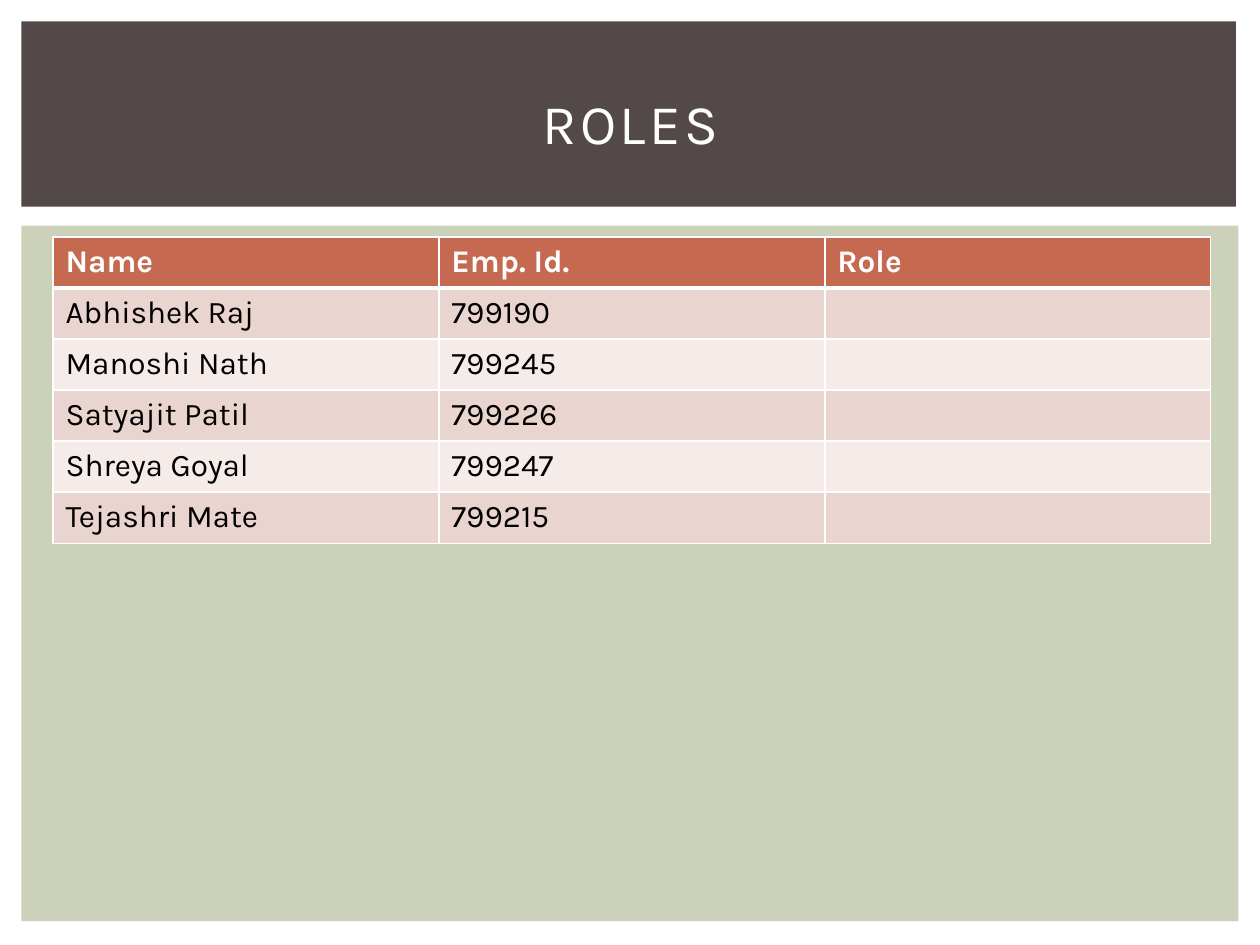
import dataclasses

import pptx
import pptx.dml.color
import pptx.enum.shapes
import pptx.enum.text
import pptx.oxml
import pptx.oxml.ns
import pptx.util


@dataclasses.dataclass(frozen=True)
class Theme:
    font: str = "Karla"
    white: str = "FFFFFF"
    black: str = "000000"
    sage: str = "CCD1B9"
    brown: str = "534949"
    rust: str = "C66951"
    bands: tuple = ("EAD4D0", "F5EBE9")
    title: int = 32
    body: int = 18
    track: int = 200  # hundredths of a point
    thin: int = 1
    thick: int = 3


@dataclasses.dataclass(frozen=True)
class Box:
    left: float
    top: float
    width: float
    height: float

    def inset(self, left, top, width, height):
        """Return the part of this box at the given offset and size."""
        return Box(self.left + left, self.top + top, width, height)

    def emu(self):
        return [pptx.util.Inches(n) for n in dataclasses.astuple(self)]


THEME = Theme()
PAGE = Box(0, 0, 10, 7.5)
BAND = PAGE.inset(0.17, 0.17, 9.64, 1.47)
PANEL = PAGE.inset(0.17, 1.79, 9.66, 5.52)
HEADS = ("Name", "Emp. Id.", "Role")
STAFF = (
    ("Abhishek Raj", "799190", ""),
    ("Manoshi Nath", "799245", ""),
    ("Satyajit Patil", "799226", ""),
    ("Shreya Goyal", "799247", ""),
    ("Tejashri Mate", "799215", ""),
)


def paint(fill, color):
    fill.solid()
    fill.fore_color.rgb = pptx.dml.color.RGBColor.from_string(color)


def write(para, text, size, color, bold=False):
    run = para.add_run()
    run.text = text
    font = run.font
    font.name, font.size, font.bold = THEME.font, pptx.util.Pt(size), bold
    font.color.rgb = pptx.dml.color.RGBColor.from_string(color)
    return run


def add_rect(slide, box, color):
    rect = slide.shapes.add_shape(
        pptx.enum.shapes.MSO_SHAPE.RECTANGLE, *box.emu())
    rect.shadow.inherit = False
    paint(rect.fill, color)
    rect.line.fill.background()


def add_header(slide, box):
    add_rect(slide, box, THEME.brown)
    title = slide.shapes.title
    slide.shapes._spTree.append(title._element)  # bring above the band
    spot = box.inset(0.25, 0.22, 9.17, 1.15)
    title.left, title.top, title.width, title.height = spot.emu()
    frame = title.text_frame
    frame.word_wrap = True
    frame.vertical_anchor = pptx.enum.text.MSO_ANCHOR.MIDDLE
    para = frame.paragraphs[0]
    para.alignment = pptx.enum.text.PP_ALIGN.CENTER
    run = write(para, "ROLES", THEME.title, THEME.white)
    run._r.get_or_add_rPr().set("spc", str(THEME.track))


def add_edges(cell, base):
    """Draw the four cell borders, with the bottom one at its own width."""
    props = cell._tc.get_or_add_tcPr()
    for side in "LRTB":
        width = pptx.util.Pt(base if side == "B" else THEME.thin)
        props.append(pptx.oxml.parse_xml(
            f'<a:ln{side} {pptx.oxml.ns.nsdecls("a")} w="{width}"><a:solidFill>'
            f'<a:srgbClr val="{THEME.white}"/></a:solidFill></a:ln{side}>'))


def add_table(slide, box):
    rows = (HEADS, *STAFF)
    table = slide.shapes.add_table(len(rows), len(HEADS), *box.emu()).table
    for r, row in enumerate(rows):
        head = r == 0
        fill = THEME.rust if head else THEME.bands[(r - 1) % 2]
        color = THEME.white if head else THEME.black
        for c, text in enumerate(row):
            cell = table.cell(r, c)
            add_edges(cell, THEME.thick if head else THEME.thin)
            paint(cell.fill, fill)
            if text:
                write(cell.text_frame.paragraphs[0], text,
                      THEME.body, color, head)


def add_body(slide, box):
    add_rect(slide, box, THEME.sage)
    add_table(slide, box.inset(0.25, 0.09, 9.19, 2.43))


def main():
    deck = pptx.Presentation()
    deck.slide_width = pptx.util.Inches(PAGE.width)
    deck.slide_height = pptx.util.Inches(PAGE.height)
    slide = deck.slides.add_slide(deck.slide_layouts.get_by_name("Title Only"))
    paint(slide.background.fill, THEME.white)
    add_body(slide, PANEL)
    add_header(slide, BAND)
    deck.save("out.pptx")


if __name__ == "__main__":
    main()
